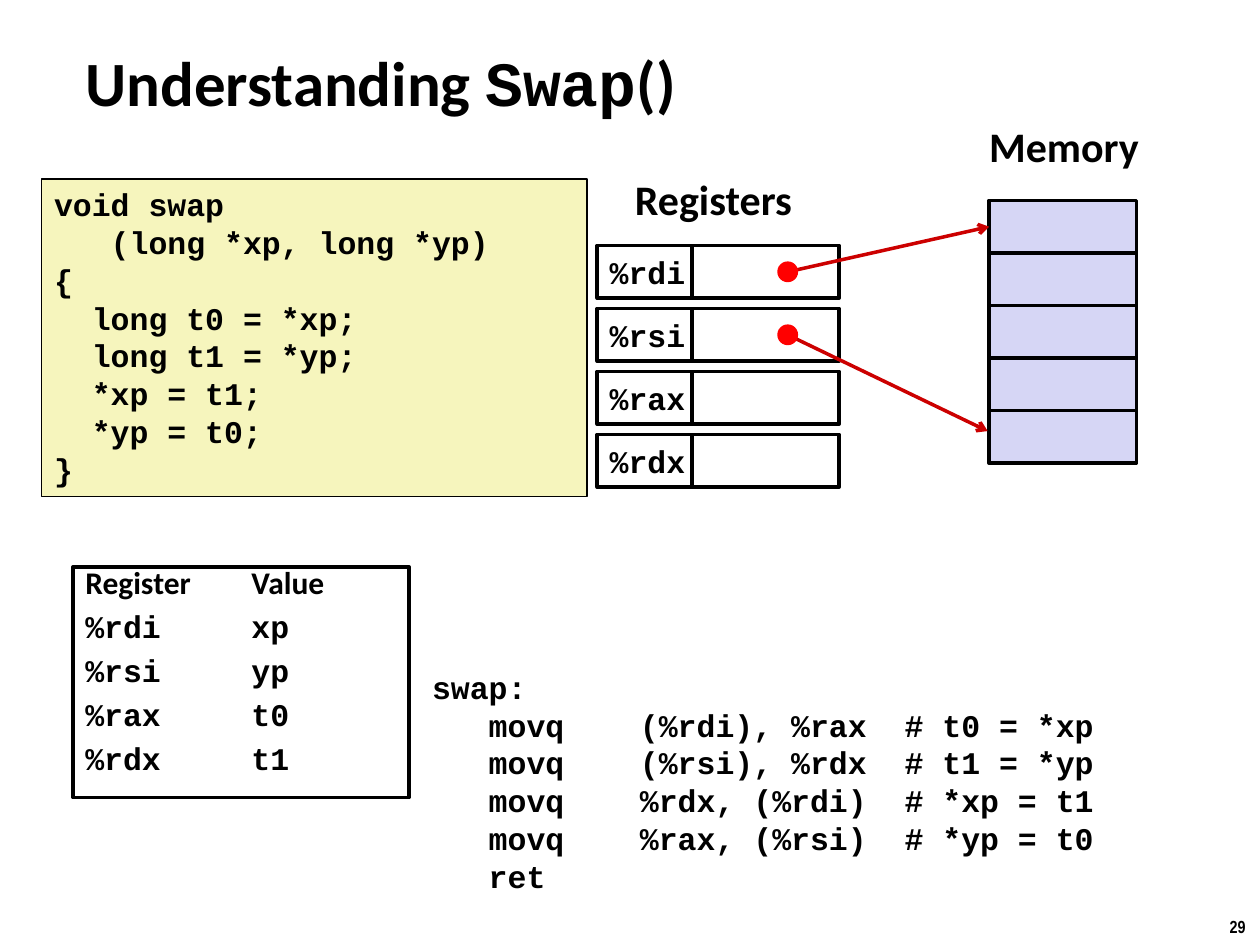
from dataclasses import dataclass

import lxml.etree
import pptx
import pptx.dml.color
import pptx.enum.shapes
import pptx.enum.text
import pptx.oxml.ns
import pptx.util

Cm = pptx.util.Cm
Pt = pptx.util.Pt
MSO_SHAPE = pptx.enum.shapes.MSO_SHAPE
ANCHOR = pptx.enum.text.MSO_ANCHOR
qn = pptx.oxml.ns.qn

BLACK, WHITE = "000000", "FFFFFF"
CODE_FILL, MEMORY_FILL = "F6F5BD", "D6D6F5"
ARROW_RED, DOT_RED = "CC0000", "FF0000"
CODE_FONT, TEXT_FONT = "Courier New", "Calibri"

CELL_HEIGHT = 1.06
NAME_WIDTH, VALUE_WIDTH = 1.91, 2.97
REGISTERS_LEFT, REGISTERS_TOP, REGISTER_PITCH = 12.04, 4.95, 1.27
MEMORY_LEFT, MEMORY_TOP, MEMORY_CELLS = 19.94, 4.04, 5
DOT_X, DOT_SIZE = 15.88, 0.42

SWAP_C = """void swap
   (long *xp, long *yp)
{
  long t0 = *xp;
  long t1 = *yp;
  *xp = t1;
  *yp = t0;
}"""
SWAP_ASSEMBLY = """swap:
   movq    (%rdi), %rax  # t0 = *xp
   movq    (%rsi), %rdx  # t1 = *yp
   movq    %rdx, (%rdi)  # *xp = t1
   movq    %rax, (%rsi)  # *yp = t0
   ret"""


@dataclass
class Register:
    name: str
    variable: str


@dataclass
class Pointer:
    row: int
    end_x: float
    end_y: float


@dataclass
class Label:
    text: str
    left: float
    top: float
    width: float
    height: float
    size: float = 24
    font: str = TEXT_FONT


REGISTERS = [Register("%rdi", "xp"), Register("%rsi", "yp"),
             Register("%rax", "t0"), Register("%rdx", "t1")]
POINTERS = [Pointer(0, MEMORY_LEFT, MEMORY_TOP + CELL_HEIGHT / 2),
            Pointer(1, 19.91, 8.69)]
LABELS = [Label("Memory", 19.69, 2.31, 3.56, 1.27),
          Label("Registers", 12.55, 3.38, 3.76, 1.27),
          Label("29", 24.54, 18.34, 0.86, 0.69, 10, "Arial Narrow")]


def rgb(value: str):
    return pptx.dml.color.RGBColor.from_string(value)


def write(frame, text: str, font: str, size: float) -> None:
    """Fill a text frame with bold black left-aligned paragraphs."""
    frame.text = text
    for paragraph in frame.paragraphs:
        paragraph.alignment = pptx.enum.text.PP_ALIGN.LEFT
        paragraph.font.name = font
        paragraph.font.size = Pt(size)
        paragraph.font.bold = True
        paragraph.font.color.rgb = rgb(BLACK)


def add_box(shapes, left: float, top: float, width: float, height: float,
            fill: str | None, line_width: float = 2, kind=MSO_SHAPE.RECTANGLE):
    box = shapes.add_shape(kind, Cm(left), Cm(top), Cm(width), Cm(height))
    box.shadow.inherit = False
    if fill:
        box.fill.solid()
        box.fill.fore_color.rgb = rgb(fill)
    else:
        box.fill.background()
    if line_width:
        box.line.color.rgb = rgb(BLACK)
        box.line.width = Pt(line_width)
    else:
        box.line.fill.background()
    return box


def add_title(slide) -> None:
    title = slide.shapes.title
    title.left, title.top, title.width, title.height = Cm(1.47), Cm(0.84), Cm(17.7), Cm(1.6)
    frame = title.text_frame
    frame.auto_size = pptx.enum.text.MSO_AUTO_SIZE.NONE
    frame.vertical_anchor = ANCHOR.MIDDLE
    write(frame, "", TEXT_FONT, 36)
    for text, font in [("Understanding ", TEXT_FONT), ("Swap", CODE_FONT), ("()", TEXT_FONT)]:
        run = frame.paragraphs[0].add_run()
        run.text = text
        run.font.name = font


def add_label(slide, label: Label) -> None:
    box = slide.shapes.add_textbox(Cm(label.left), Cm(label.top), Cm(label.width), Cm(label.height))
    box.text_frame.word_wrap = False
    write(box.text_frame, label.text, label.font, label.size)


def add_registers(slide) -> None:
    cells = slide.shapes.add_group_shape().shapes
    for row, register in enumerate(REGISTERS):
        top = REGISTERS_TOP + row * REGISTER_PITCH
        name = add_box(cells, REGISTERS_LEFT, top, NAME_WIDTH, CELL_HEIGHT, WHITE)
        name.text_frame.word_wrap = False
        name.text_frame.vertical_anchor = ANCHOR.MIDDLE
        write(name.text_frame, register.name, CODE_FONT, 18)
        add_box(cells, REGISTERS_LEFT + NAME_WIDTH, top, VALUE_WIDTH, CELL_HEIGHT, WHITE)


def add_memory(slide) -> None:
    cells = slide.shapes.add_group_shape().shapes
    for row in range(MEMORY_CELLS):
        add_box(cells, MEMORY_LEFT, MEMORY_TOP + row * CELL_HEIGHT,
                VALUE_WIDTH, CELL_HEIGHT, MEMORY_FILL)


def add_pointer(slide, pointer: Pointer) -> None:
    """Draw an arrow from a register's dot to a memory cell."""
    dot_y = REGISTERS_TOP + pointer.row * REGISTER_PITCH + CELL_HEIGHT / 2
    arrow = slide.shapes.add_connector(pptx.enum.shapes.MSO_CONNECTOR.STRAIGHT, Cm(DOT_X), Cm(dot_y),
                                       Cm(pointer.end_x), Cm(pointer.end_y))
    arrow.line.color.rgb = rgb(ARROW_RED)
    arrow.line.width = Pt(2)
    lxml.etree.SubElement(arrow.line._get_or_add_ln(), qn("a:tailEnd"), type="arrow")
    lxml.etree.SubElement(arrow._element.spPr, qn("a:effectLst"))
    add_box(slide.shapes, DOT_X - DOT_SIZE / 2, dot_y - DOT_SIZE / 2, DOT_SIZE, DOT_SIZE,
            DOT_RED, 0, MSO_SHAPE.OVAL)


def add_variable_list(slide) -> None:
    box = add_box(slide.shapes, 1.47, 11.43, 6.78, 4.65, None)
    frame = box.text_frame
    frame.vertical_anchor = ANCHOR.TOP
    rows = ["Register\tValue"] + [f"{r.name}\t{r.variable}" for r in REGISTERS]
    write(frame, "\n".join(rows), CODE_FONT, 18)
    frame.paragraphs[0].font.name = TEXT_FONT
    for row, paragraph in enumerate(frame.paragraphs):
        paragraph.line_spacing = 0.7
        if row:
            paragraph.space_before = Pt(10)
        tabs = pptx.oxml.ns.qn("a:tabLst")
        tab_list = lxml.etree.Element(tabs)
        lxml.etree.SubElement(tab_list, qn("a:tab"), pos=str(Cm(3.35)), algn="l")
        paragraph._p.pPr.find(qn("a:defRPr")).addprevious(tab_list)


def main() -> None:
    deck = pptx.Presentation()
    deck.slide_width, deck.slide_height = Cm(25.4), Cm(19.05)
    slide = deck.slides.add_slide(deck.slide_layouts[5])
    add_title(slide)
    add_registers(slide)
    source = add_box(slide.shapes, 0.84, 3.61, 11, 6.4, CODE_FILL, 1)
    source.text_frame.vertical_anchor = ANCHOR.TOP
    write(source.text_frame, SWAP_C, CODE_FONT, 18)
    add_variable_list(slide)
    assembly = slide.shapes.add_textbox(Cm(8.46), Cm(13.34), Cm(16.3), Cm(4.88))
    assembly.text_frame.word_wrap = True
    write(assembly.text_frame, SWAP_ASSEMBLY, CODE_FONT, 18)
    add_memory(slide)
    for pointer in POINTERS:
        add_pointer(slide, pointer)
    for label in LABELS:
        add_label(slide, label)


    deck.save("out.pptx")


if __name__ == "__main__":
    main()
